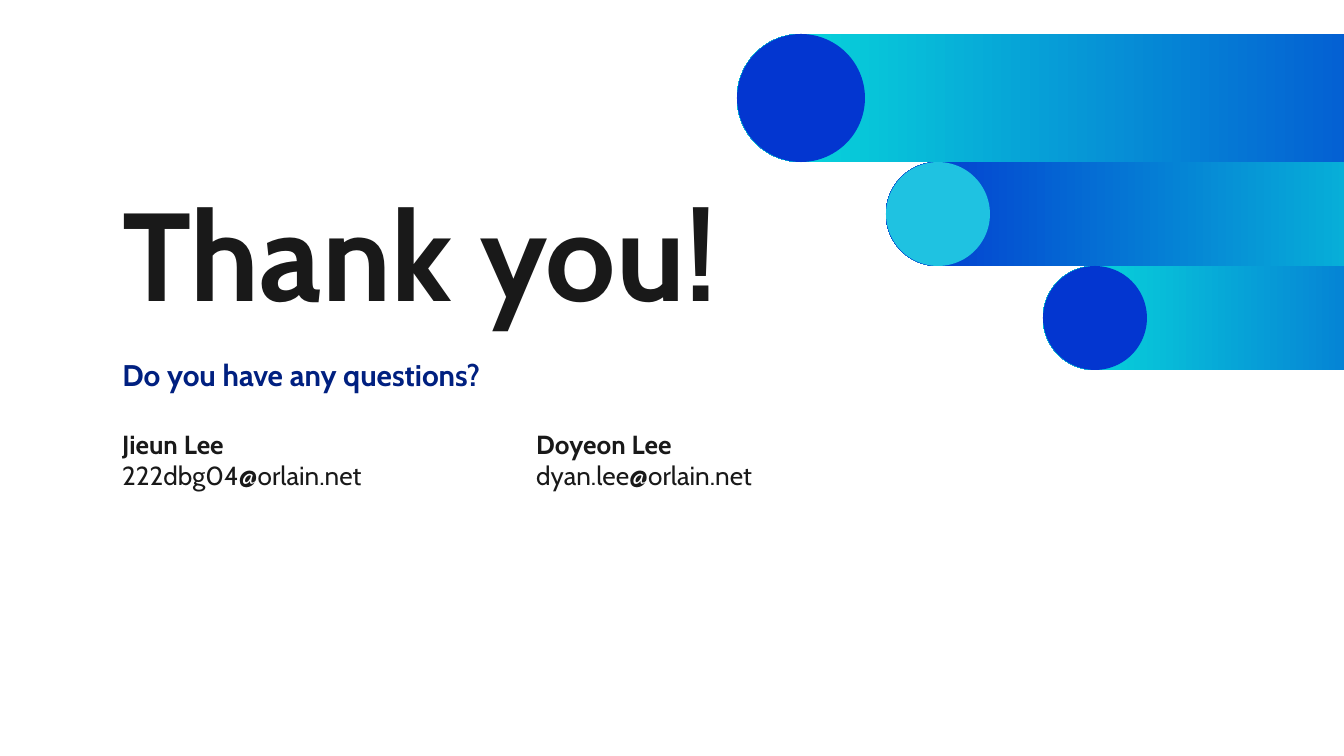
from dataclasses import dataclass

from pptx import Presentation
from pptx import util as u
from pptx.dml.color import RGBColor
from pptx.enum import shapes, text

PX = 914400 / 134.4
FONT = "Cabin"
INK = RGBColor(0x19, 0x19, 0x19)
NAVY = RGBColor(0x00, 0x20, 0x80)
BLUE = RGBColor(0x03, 0x36, 0xD0)
AQUA = RGBColor(0x08, 0xE0, 0xDB)
SKY = RGBColor(0x1F, 0xC2, 0xE1)


@dataclass(frozen=True)
class Box:
    left: int
    top: int
    width: int
    height: int

    def emu(self) -> list[int]:
        return [round(n * PX) for n in (self.left, self.top, self.width, self.height)]


@dataclass(frozen=True)
class Capsule:
    left: int
    width: int
    height: int
    left_color: RGBColor
    right_color: RGBColor
    cap_color: RGBColor


@dataclass(frozen=True)
class Contact:
    name: str
    email: str
    box: Box


CAPSULES = [
    Capsule(737, 803, 128, AQUA, BLUE, BLUE),
    Capsule(886, 642, 104, BLUE, AQUA, SKY),
    Capsule(1043, 552, 104, AQUA, BLUE, BLUE),
]
CAPSULES_TOP = 34

CONTACTS = [
    Contact("Jieun Lee", "222dbg04@orlain.net", Box(109, 415, 394, 90)),
    Contact("Doyeon Lee", "dyan.lee@orlain.net", Box(523, 415, 418, 90)),
]


def set_frame(frame) -> None:
    """Wrap the text from the top, with equal insets on all sides."""
    frame.word_wrap = True
    frame.auto_size = text.MSO_AUTO_SIZE.NONE
    frame.vertical_anchor = text.MSO_ANCHOR.TOP
    frame.margin_left = frame.margin_right = u.Inches(0.1)
    frame.margin_top = frame.margin_bottom = u.Inches(0.1)


def format_line(paragraph, size: int, color: RGBColor, bold: bool) -> None:
    paragraph.alignment = text.PP_ALIGN.LEFT
    paragraph.space_before = u.Pt(0)
    paragraph.line_spacing = 1.0
    paragraph.font.name = FONT
    paragraph.font.size = u.Pt(size)
    paragraph.font.bold = bold
    paragraph.font.color.rgb = color


def fill_placeholder(holder, box: Box, words: str, size: int, color: RGBColor) -> None:
    holder.left, holder.top, holder.width, holder.height = box.emu()
    holder.text_frame.text = words
    set_frame(holder.text_frame)
    format_line(holder.text_frame.paragraphs[0], size, color, bold=True)


def draw_capsule(slide, capsule: Capsule, top: int) -> None:
    """Draw a rounded gradient bar with a plain disc over its left end."""
    group = slide.shapes.add_group_shape()
    bar_box = Box(capsule.left, top, capsule.width, capsule.height)
    bar = group.shapes.add_shape(shapes.MSO_SHAPE.ROUNDED_RECTANGLE, *bar_box.emu())
    bar.adjustments[0] = 0.5
    bar.fill.gradient()
    bar.fill.gradient_angle = 180
    start, end = bar.fill.gradient_stops
    start.color.rgb, end.color.rgb = capsule.right_color, capsule.left_color

    cap_box = Box(capsule.left, top, capsule.height, capsule.height)
    cap = group.shapes.add_shape(shapes.MSO_SHAPE.OVAL, *cap_box.emu())
    cap.fill.solid()
    cap.fill.fore_color.rgb = capsule.cap_color

    for part in (bar, cap):
        part.shadow.inherit = False
        part.line.fill.background()


def add_contact(slide, contact: Contact) -> None:
    frame = slide.shapes.add_textbox(*contact.box.emu()).text_frame
    set_frame(frame)
    name = frame.paragraphs[0]
    name.text = contact.name
    format_line(name, 14, INK, bold=True)
    email = frame.add_paragraph()
    email.text = contact.email
    format_line(email, 14, INK, bold=False)


def main() -> None:
    deck = Presentation()
    deck.slide_width, deck.slide_height = Box(0, 0, 1344, 756).emu()[2:]
    slide = deck.slides.add_slide(deck.slide_layouts[0])

    title, subtitle = slide.placeholders
    fill_placeholder(title, Box(109, 163, 845, 191), "Thank you!", 67, INK)
    fill_placeholder(subtitle, Box(109, 343, 653, 156), "Do you have any questions?", 16, NAVY)

    top = CAPSULES_TOP
    for capsule in CAPSULES:
        draw_capsule(slide, capsule, top)
        top += capsule.height

    for contact in CONTACTS:
        add_contact(slide, contact)

    deck.save("out.pptx")


if __name__ == "__main__":
    main()
